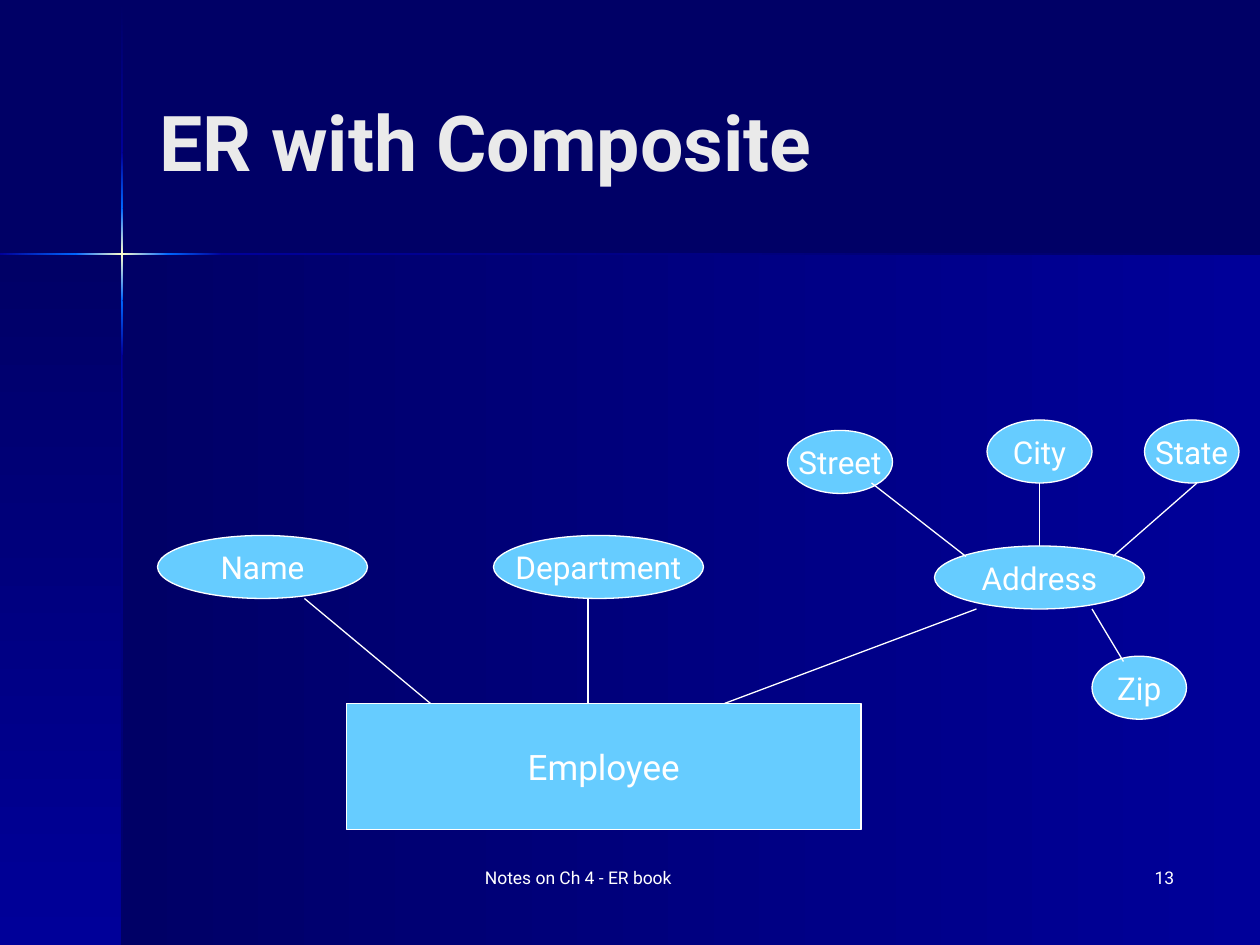
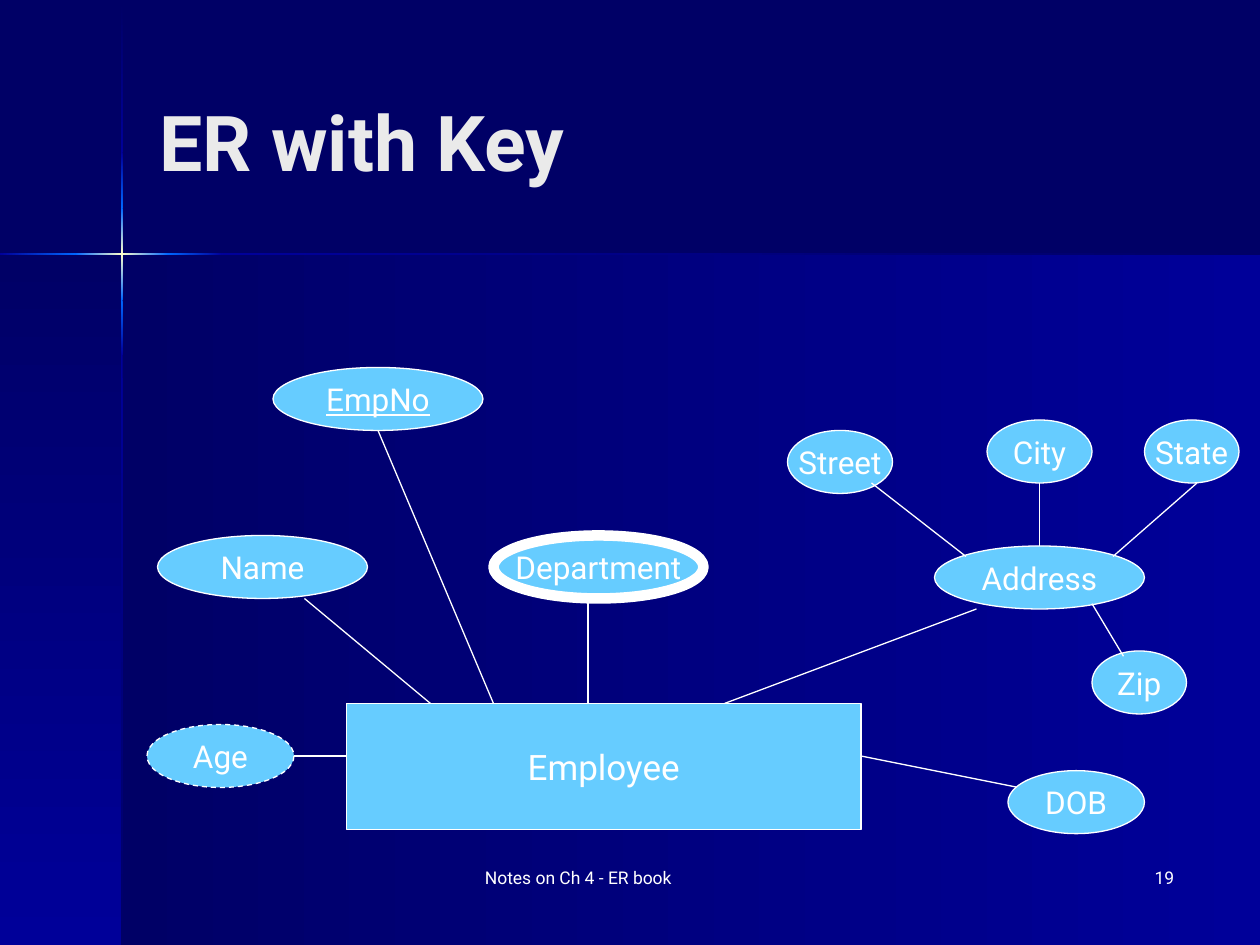
from lxml.etree import SubElement
from pptx import Presentation
from pptx.dml.color import RGBColor
from pptx.enum.dml import MSO_LINE
from pptx.enum.shapes import MSO_CONNECTOR, MSO_SHAPE
from pptx.enum.text import MSO_ANCHOR, MSO_AUTO_SIZE, PP_ALIGN
from pptx.oxml.ns import qn
from pptx.util import Pt

PX = 7620  # EMU per px, 120 px to the inch
FONT = "Roboto"
FOOTER = "Notes on Ch 4 - ER book"
COLORS = {
    "night": "000066",
    "navy": "000099",
    "blue": "0066FF",
    "glow": "FFFFCC",
    "node": "66CCFF",
    "white": "FFFFFF",
    "title": "EAEAEA",
}
ACROSS, DOWN = 0, 270  # gradient angles, counter-clockwise

# Stretches of the two crossing rays: colours from start to end
RAY_COLORS = [
    ["night", "navy"],
    ["navy", "blue"],
    ["blue", "glow", "blue"],
    ["blue", "navy"],
    ["navy", "night"],
]
RAY_DOWN_STOPS = [1, 145, 198, 286, 338, 900]
RAY_ACROSS_STOPS = [0, 72, 160, 212, 1200]


def color(name):
    return RGBColor.from_string(COLORS[name])


class Diagram:
    """Holds the deck style and the page being drawn."""

    def __init__(self):
        self.deck = Presentation()
        self.deck.slide_width, self.deck.slide_height = 1200 * PX, 900 * PX
        self.page = None

    def add_page(self, title, number):
        layout = self.deck.slide_layouts.get_by_name("Title Only")
        self.page = self.deck.slides.add_slide(layout)
        box = self.page.shapes.title
        box.left, box.top, box.width, box.height = (n * PX for n in (140, 40, 990, 188))
        box.text_frame.auto_size = MSO_AUTO_SIZE.NONE
        self.set_text(box, title, 44, "title", PP_ALIGN.LEFT, bold=True)
        self.label(450, 380, FOOTER, PP_ALIGN.LEFT)
        self.label(880, 250, number, PP_ALIGN.RIGHT)

    def set_text(self, box, text, size, ink, align, anchor=MSO_ANCHOR.MIDDLE,
                 wrap=True, bold=False, underline=False):
        frame = box.text_frame
        frame.text = text
        frame.word_wrap = wrap
        frame.vertical_anchor = anchor
        para = frame.paragraphs[0]
        para.alignment = align
        para.font.name, para.font.size = FONT, Pt(size)
        para.font.bold = bold
        para.font.underline = underline
        para.font.color.rgb = color(ink)

    def label(self, left, width, text, align):
        box = self.page.shapes.add_textbox(left * PX, 820 * PX, width * PX, 60 * PX)
        self.set_text(box, text, 10, "white", align, MSO_ANCHOR.TOP)

    def shape(self, kind, left, top, width, height):
        shape = self.page.shapes.add_shape(
            kind, left * PX, top * PX, width * PX, height * PX)
        shape.shadow.inherit = False
        return shape

    def node(self, kind, text, left, top, width, height, size, line_width=0.75,
             dashed=False, underline=False):
        node = self.shape(kind, left, top, width, height)
        node.fill.solid()
        node.fill.fore_color.rgb = color("node")
        node.line.color.rgb = color("white")
        node.line.width = Pt(line_width)
        if dashed:
            node.line.dash_style = MSO_LINE.DASH
        self.set_text(node, text, size, "white", PP_ALIGN.CENTER, wrap=False,
                      underline=underline)

    def entity(self, text, left, top, width, height):
        self.node(MSO_SHAPE.RECTANGLE, text, left, top, width, height, 20)

    def attribute(self, text, left, top, width=200, **style):
        self.node(MSO_SHAPE.OVAL, text, left, top, width, 60, 18, **style)

    def link(self, x1, y1, x2, y2):
        link = self.page.shapes.add_connector(
            MSO_CONNECTOR.STRAIGHT, x1 * PX, y1 * PX, x2 * PX, y2 * PX)
        link.line.color.rgb = color("white")
        link.line.width = Pt(0.75)
        SubElement(link.element.spPr, qn("a:effectLst"))

    def band(self, left, top, width, height, names, angle):
        band = self.shape(MSO_SHAPE.RECTANGLE, left, top, width, height)
        band.line.fill.background()
        band.fill.gradient()
        band.fill.gradient_angle = angle
        stops = band.element.spPr.find(qn("a:gradFill")).find(qn("a:gsLst"))
        stops[:] = []
        for index, name in enumerate(names):
            position = 100000 * index // (len(names) - 1)
            stop = SubElement(stops, qn("a:gs"), pos=str(position))
            SubElement(stop, qn("a:srgbClr"), val=COLORS[name])
        return band

    def decorate_master(self):
        """Draw the backdrop on the current page, then move it to the master."""
        master = self.deck.slide_master
        master.background.fill.solid()
        master.background.fill.fore_color.rgb = color("night")
        # Panels
        bands = [
            self.band(116, 242, 1084, 658, ["night", "navy"], ACROSS),
            self.band(0, 242, 116, 658, ["night", "navy"], DOWN),
        ]
        # Crossing rays
        for start, end, names in zip(RAY_DOWN_STOPS, RAY_DOWN_STOPS[1:], RAY_COLORS):
            bands.append(self.band(115, start, 2, end - start, names, DOWN))
        for start, end, names in zip(RAY_ACROSS_STOPS, RAY_ACROSS_STOPS[1:],
                                     RAY_COLORS[1:]):
            bands.append(self.band(start, 241, end - start, 2, names, ACROSS))
        for index, band in enumerate(bands):
            band.element.nvSpPr.cNvPr.set("id", str(100 + index))
            master.shapes.element.insert(2 + index, band.element)

    def employee(self, zip_top, department_line=0.75):
        """Draw the entity and the attributes that both pages share."""
        self.entity("Employee", 330, 670, 490, 120)
        self.attribute("Name", 150, 510)
        self.attribute("Department", 470, 510, line_width=department_line)
        self.attribute("Address", 890, 520)
        self.link(290, 570, 410, 670)
        self.link(560, 570, 560, 670)
        self.link(930, 580, 690, 670)
        # Parts of the address
        self.attribute("State", 1090, 400, 90)
        self.attribute("City", 940, 400, 100)
        self.attribute("Street", 750, 410, 100)
        self.attribute("Zip", 1040, zip_top, 90)
        self.link(1140, 460, 1060, 530)
        self.link(990, 460, 990, 520)
        self.link(830, 460, 920, 530)
        self.link(1040, zip_top - 45, 1070, zip_top + 5)


def main():
    diagram = Diagram()

    # Composite attribute
    diagram.add_page("ER with Composite", "13")
    diagram.decorate_master()
    diagram.employee(zip_top=625)

    # Key, multivalued and derived attributes
    diagram.add_page("ER with Key", "19")
    diagram.employee(zip_top=620, department_line=6)
    diagram.link(470, 670, 360, 410)
    diagram.attribute("EmpNo", 260, 350, underline=True)
    diagram.link(970, 750, 820, 720)
    diagram.attribute("DOB", 960, 734, 130)
    diagram.attribute("Age", 140, 690, 140, dashed=True)
    diagram.link(280, 720, 330, 720)

    diagram.deck.save("out.pptx")


if __name__ == "__main__":
    main()
